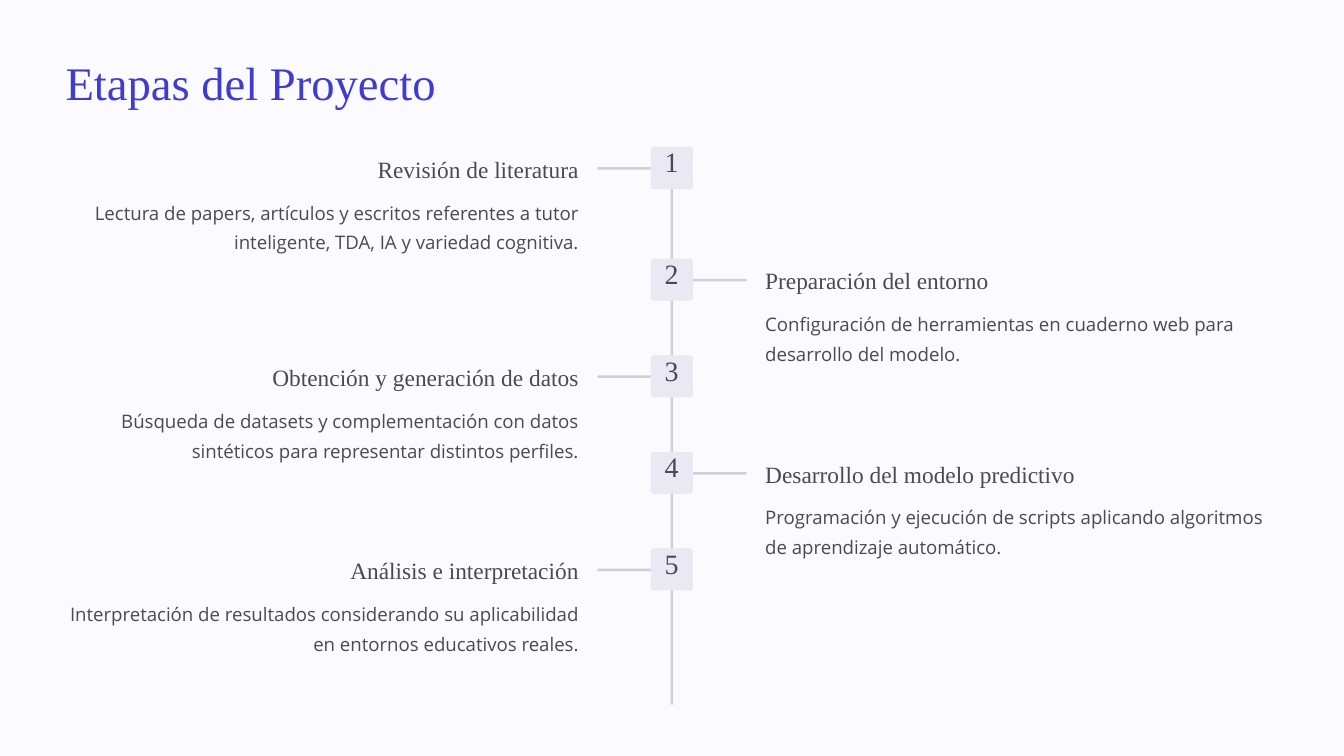
from dataclasses import dataclass

from pptx import Presentation
from pptx.dml.color import RGBColor
from pptx.enum import shapes, text
from pptx.util import Inches, Pt

SERIF, SANS = "Times New Roman", "Open Sans"
BACKGROUND, TITLE, INK = "FBFAFF", "403CCF", "49495A"
LINE, BADGE = "D0CED9", "EAE8F3"
LEFT, CENTER, RIGHT = text.PP_ALIGN.LEFT, text.PP_ALIGN.CENTER, text.PP_ALIGN.RIGHT

AXIS = 8.0
BADGE_SIZE = 0.5
THICKNESS = 0.03
BRANCH = 0.67
BODY_WIDTH = 6.11
LEFT_EDGE, RIGHT_EDGE = 6.89, 9.11  # text edges facing the axis


@dataclass
class Style:
    size: float
    spacing: float
    font: str = SERIF
    color: str = INK


@dataclass
class Stage:
    top: float
    heading: str
    heading_width: float
    body: str


TITLE_STYLE = Style(40, 50, color=TITLE)
NUMBER_STYLE = Style(24, 24)
HEADING_STYLE = Style(20, 25)
BODY_STYLE = Style(16, 25.5, SANS)

STAGES = [
    Stage(1.75, "Revisión de literatura", 3.05,
          "Lectura de papers, artículos y escritos referentes a tutor "
          "inteligente, TDA, IA y variedad cognitiva."),
    Stage(3.08, "Preparación del entorno", 3.46,
          "Configuración de herramientas en cuaderno web para "
          "desarrollo del modelo."),
    Stage(4.23, "Obtención y generación de datos", 4.67,
          "Búsqueda de datasets y complementación con datos "
          "sintéticos para representar distintos perfiles."),
    Stage(5.38, "Desarrollo del modelo predictivo", 4.72,
          "Programación y ejecución de scripts aplicando algoritmos "
          "de aprendizaje automático."),
    Stage(6.53, "Análisis e interpretación", 3.45,
          "Interpretación de resultados considerando su aplicabilidad "
          "en entornos educativos reales."),
]


def rgb(color: str) -> RGBColor:
    return RGBColor.from_string(color)


def add_block(slide, left: float, top: float, width: float, height: float,
              color: str, rounding: float = 0.5) -> None:
    """Draw a filled rounded rectangle without an outline."""
    shape = slide.shapes.add_shape(
        shapes.MSO_SHAPE.ROUNDED_RECTANGLE,
        Inches(left), Inches(top), Inches(width), Inches(height))
    shape.adjustments[0] = rounding
    shape.shadow.inherit = False
    shape.fill.solid()
    shape.fill.fore_color.rgb = rgb(color)
    shape.line.fill.background()


def add_text(slide, left: float, top: float, width: float, height: float,
             content: str, style: Style, alignment=LEFT) -> None:
    frame = slide.shapes.add_textbox(
        Inches(left), Inches(top), Inches(width), Inches(height)).text_frame
    frame_format = {"word_wrap": True, "margin_left": 0, "margin_top": 0,
                    "margin_right": 0, "margin_bottom": 0}
    for name, value in frame_format.items():
        setattr(frame, name, value)
    paragraph = frame.paragraphs[0]
    paragraph.alignment = alignment
    paragraph.line_spacing = Pt(style.spacing)
    run = paragraph.add_run()
    run.text = content
    for name, value in {"name": style.font, "size": Pt(style.size)}.items():
        setattr(run.font, name, value)
    run.font.color.rgb = rgb(style.color)


def add_stage(slide, number: int, stage: Stage) -> None:
    """Draw a numbered badge, its branch and its texts; odd stages go left."""
    on_left = number % 2 == 1
    top = stage.top
    branch_left = 7.11 if on_left else 8.22
    add_block(slide, branch_left, top + 0.24, BRANCH, THICKNESS, LINE)
    add_block(slide, AXIS - BADGE_SIZE / 2, top, BADGE_SIZE, BADGE_SIZE, BADGE, 0.07)
    add_text(slide, 7.83, top + 0.04, 0.33, 0.42, str(number), NUMBER_STYLE, CENTER)

    alignment = RIGHT if on_left else LEFT
    texts = [(0.08, stage.heading_width, 0.35, stage.heading, HEADING_STYLE),
             (0.56, BODY_WIDTH, 0.71, stage.body, BODY_STYLE)]
    for offset, width, height, content, style in texts:
        left = LEFT_EDGE - width if on_left else RIGHT_EDGE
        add_text(slide, left, top + offset, width, height, content, style, alignment)


def main() -> None:
    presentation = Presentation()
    presentation.slide_width, presentation.slide_height = Inches(16), Inches(9)
    slide = presentation.slides.add_slide(presentation.slide_layouts[6])
    slide.background.fill.solid()
    slide.background.fill.fore_color.rgb = rgb(BACKGROUND)

    add_text(slide, 0.78, 0.61, 5.58, 0.69, "Etapas del Proyecto", TITLE_STYLE)
    add_block(slide, AXIS - THICKNESS / 2, 1.75, THICKNESS, 6.64, LINE)
    for number, stage in enumerate(STAGES, start=1):
        add_stage(slide, number, stage)
    presentation.save("out.pptx")


if __name__ == "__main__":
    main()
